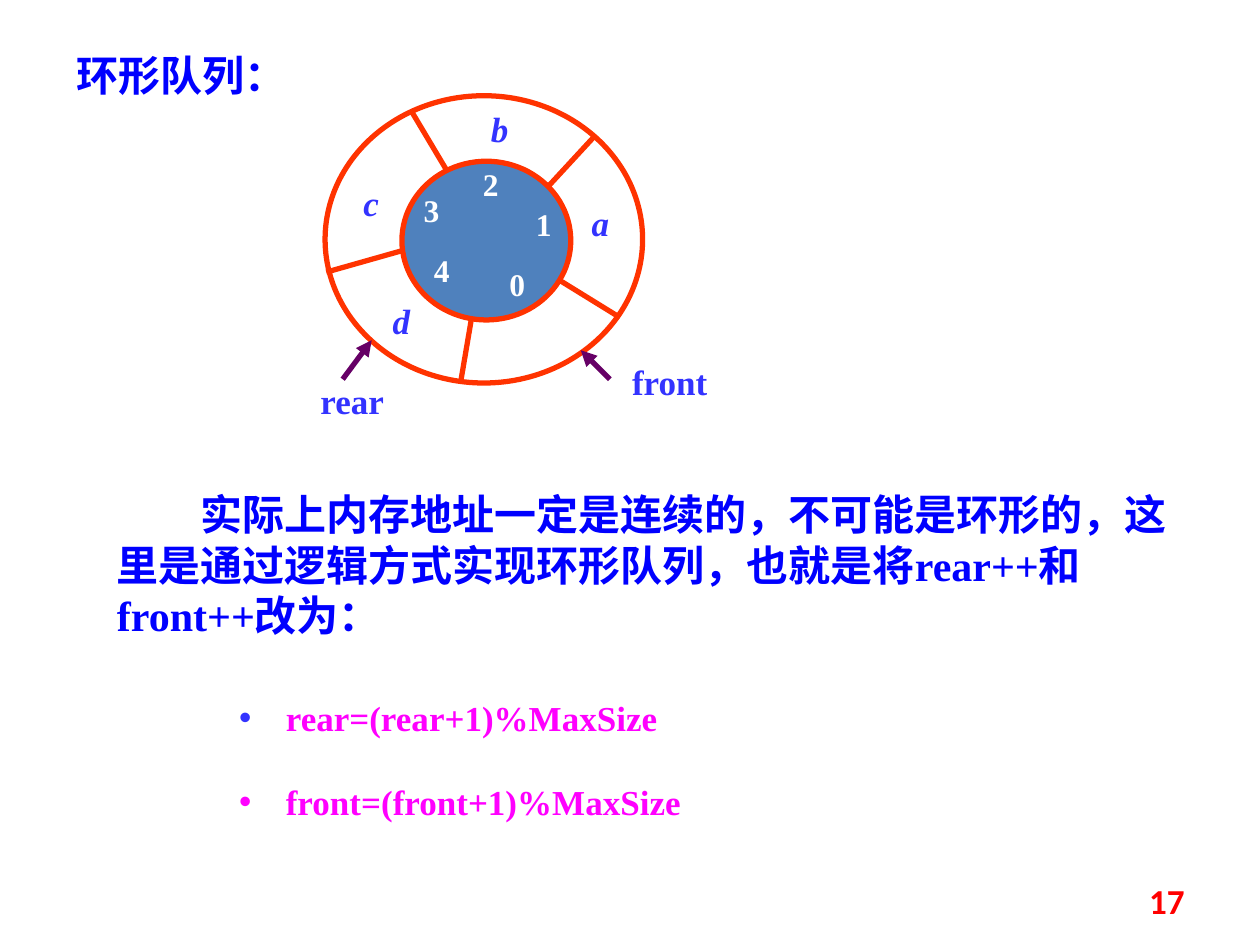
"""Build the circular queue slide on a grid of 100 columns by 75 rows."""
import pptx
import pptx.dml.color
import pptx.enum.shapes
import pptx.enum.text
import pptx.oxml.ns
import pptx.util
from lxml import etree

RGB = pptx.dml.color.RGBColor
RING_RED = RGB(0xFF, 0x33, 0x00)
HUB_BLUE = RGB(0x4F, 0x81, 0xBD)
ARROW_PURPLE = RGB(0x66, 0x00, 0x66)
LABEL_BLUE = RGB(0x33, 0x33, 0xFF)
BODY_BLUE = RGB(0x00, 0x00, 0xFF)
CODE_PINK = RGB(0xFF, 0x00, 0xFF)
WHITE = RGB(0xFF, 0xFF, 0xFF)
PAGE_RED = RGB(0xFF, 0x00, 0x00)

ALIGN = pptx.enum.text.PP_ALIGN
SERIF = {"name": "Times New Roman", "bold": True}
qn = pptx.oxml.ns.qn

deck = pptx.Presentation()
deck.slide_width = pptx.util.Inches(10)
deck.slide_height = pptx.util.Inches(7.5)
slide = deck.slides.add_slide(deck.slide_layouts[6])
COL = deck.slide_width / 100
ROW = deck.slide_height / 75


def add_text(place, lines, look, color, align=ALIGN.LEFT, inset=True):
    left, top, width, height = place
    box = slide.shapes.add_textbox(
        int(left * COL), int(top * ROW), int(width * COL), int(height * ROW))
    frame = box.text_frame
    frame.word_wrap = True
    if not inset:
        for side in ("left", "top", "right", "bottom"):
            setattr(frame, f"margin_{side}", 0)
    frame.text = "\n".join(lines)
    for paragraph in frame.paragraphs:
        paragraph.alignment = align
        font = paragraph.runs[0].font
        font.color.rgb = color
        for attribute, value in look.items():
            setattr(font, attribute, value)
    return frame


def add_line(start, end, color):
    line = slide.shapes.add_connector(
        pptx.enum.shapes.MSO_CONNECTOR.STRAIGHT,
        int(start[0] * COL), int(start[1] * ROW), int(end[0] * COL), int(end[1] * ROW))
    line.line.color.rgb = color
    line.line.width = pptx.util.Pt(3)
    etree.SubElement(line._element.spPr, qn("a:effectLst"))
    return line


for left, top, width, height, fill in [
    (31.9, 12.8, 13.4, 12.6, HUB_BLUE),
    (25.8, 7.6, 25.2, 22.8, None),
]:
    ring = slide.shapes.add_shape(
        pptx.enum.shapes.MSO_SHAPE.OVAL,
        int(left * COL), int(top * ROW), int(width * COL), int(height * ROW))
    ring.shadow.inherit = False
    ring.line.color.rgb = RING_RED
    ring.line.width = pptx.util.Pt(3)
    if fill is None:
        ring.fill.background()
    else:
        ring.fill.solid()
        ring.fill.fore_color.rgb = fill

for inner, outer in [
    ((44.5, 22.3), (49.2, 25.2)),
    ((43.6, 14.7), (47.2, 10.8)),
    ((35.5, 13.6), (32.7, 8.9)),
    ((37.4, 25.4), (36.6, 30.1)),
    ((31.9, 19.9), (25.9, 21.6)),
]:
    add_line(inner, outer, RING_RED)

index_look = {**SERIF, "size": pptx.util.Pt(18)}
index_places = [(39.5, 21), (41.6, 16.3), (37.4, 13.1), (32.7, 15.2), (33.5, 19.9)]
for index, (left, top) in enumerate(index_places):
    add_text((left, top, 3.1, 3), [str(index)], index_look, WHITE, ALIGN.CENTER, False)

label_look = {**SERIF, "size": pptx.util.Pt(20)}
item_look = {**label_look, "italic": True}
item_places = [(46.1, 16), (38.1, 8.5), (27.9, 14.4), (30.3, 23.8)]
for item, (left, top) in zip("abcd", item_places):
    add_text((left, top, 3.1, 3.3), [item], item_look, LABEL_BLUE, ALIGN.CENTER, False)

for pointer, left, top, start, end in [
    ("front", 49.2, 28.6, (48.4, 30.1), (46.1, 27.8)),
    ("rear", 24, 30.1, (27.2, 30.1), (29.5, 27)),
]:
    add_text((left, top, 7.9, 3.3), [pointer], label_look, LABEL_BLUE, ALIGN.CENTER, False)
    arrow = add_line(start, end, ARROW_PURPLE)
    etree.SubElement(arrow.line._get_or_add_ln(), qn("a:tailEnd"), type="triangle")

body_look = {**SERIF, "size": pptx.util.Pt(24)}
add_text((5.1, 3.4, 29.9, 5), ["环形队列："], body_look, BODY_BLUE)
explanation = add_text(
    (8.3, 38.3, 87, 13.1),
    ["实际上内存地址一定是连续的，不可能是环形的，这里是通过逻辑方式实现环形队列，也就是将rear++和front++改为："],
    body_look, BODY_BLUE)
explanation.paragraphs[0]._p.get_or_add_pPr().set("indent", str(pptx.util.Pt(48)))

formulas = add_text(
    (18, 53.1, 53.1, 12.8),
    ["rear=(rear+1)%MaxSize", "front=(front+1)%MaxSize"],
    label_look, CODE_PINK)
hanging = int(3.7 * COL)
for formula, bullet_color in zip(formulas.paragraphs, (LABEL_BLUE, CODE_PINK)):
    formula.line_spacing = 1.5
    properties = formula._p.get_or_add_pPr()
    properties.set("marL", str(hanging))
    properties.set("indent", str(-hanging))
    tint = etree.SubElement(properties, qn("a:buClr"))
    etree.SubElement(tint, qn("a:srgbClr"), val=str(bullet_color))
    etree.SubElement(properties, qn("a:buFont"), typeface="Arial")
    etree.SubElement(properties, qn("a:buChar"), char="•")
formulas.paragraphs[1].space_before = pptx.util.Pt(12)

page_look = {"name": "Calibri", "size": pptx.util.Pt(20), "bold": True}
page_number = add_text((71.7, 69.5, 23.3, 4), ["17"], page_look, PAGE_RED, ALIGN.RIGHT)
page_number.vertical_anchor = pptx.enum.text.MSO_ANCHOR.MIDDLE

deck.save("out.pptx")
